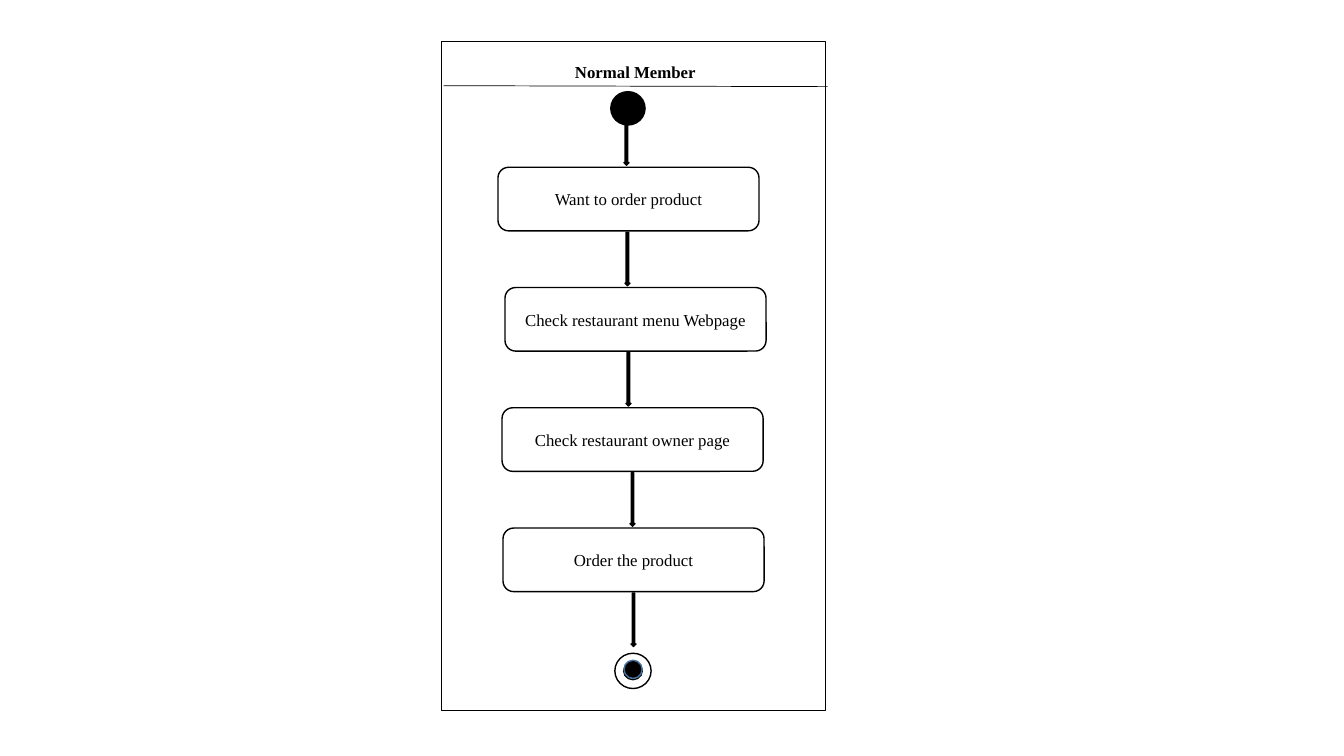
from pptx import Presentation
from pptx.dml.color import RGBColor
from pptx.enum.shapes import MSO_CONNECTOR, MSO_SHAPE
from pptx.enum.text import MSO_ANCHOR, PP_ALIGN
from pptx.oxml import parse_xml
from pptx.oxml.ns import nsdecls
from pptx.util import Pt

BLACK = RGBColor(0x00, 0x00, 0x00)
WHITE = RGBColor(0xFF, 0xFF, 0xFF)
BLUE = RGBColor(0x43, 0x73, 0x9E)

STEPS = [
    ("Want to order product", 355.7, 446.4),
    ("Check restaurant menu Webpage", 360.7, 447.1),
    ("Check restaurant owner page", 358.6, 450),
    ("Order the product", 359.3, 450.7),
]
FIRST_STEP_TOP = 119.5
STEP_PITCH = 85.9
STEP_WIDTH = 186.5
STEP_HEIGHT = 45.4
ARROW_OFFSET = 46.4
ARROW_WIDTH = 3.6
ARROW_HEIGHT = 38.2


class ActivityDiagram:
    """Draws the elements of an activity diagram on one slide."""

    font_name = "Times New Roman"
    font_size = 12

    def __init__(self, page):
        self.page = page

    def shape(self, kind, left, top, width, height, fill=WHITE, outline=BLACK):
        shape = self.page.shapes.add_shape(kind, Pt(left), Pt(top), Pt(width), Pt(height))
        shape.shadow.inherit = False
        shape.fill.solid()
        shape.fill.fore_color.rgb = fill
        shape.line.color.rgb = outline
        shape.line.width = Pt(1)
        return shape

    def label(self, box, text, bold=False, spacing=1.0):
        frame = box.text_frame
        frame.word_wrap = True
        frame.vertical_anchor = MSO_ANCHOR.MIDDLE
        para = frame.paragraphs[0]
        para.alignment = PP_ALIGN.CENTER
        para.line_spacing = spacing
        span = para.add_run()
        span.text = text
        span.font.name = self.font_name
        span.font.size = Pt(self.font_size)
        span.font.bold = bold
        span.font.color.rgb = BLACK

    def title(self, text, left, top, width, height):
        box = self.page.shapes.add_textbox(Pt(left), Pt(top), Pt(width), Pt(height))
        self.label(box, text, bold=True, spacing=0.9)

    def step(self, text, left, top):
        box = self.shape(MSO_SHAPE.ROUNDED_RECTANGLE, left, top, STEP_WIDTH, STEP_HEIGHT)
        self.label(box, text)

    def arrow(self, left, top, height=ARROW_HEIGHT):
        self.shape(MSO_SHAPE.DOWN_ARROW, left, top, ARROW_WIDTH, height, fill=BLACK)

    def divider(self, start_x, start_y, end_x, end_y):
        line = self.page.shapes.add_connector(
            MSO_CONNECTOR.STRAIGHT, Pt(start_x), Pt(start_y), Pt(end_x), Pt(end_y))
        line.line.color.rgb = BLACK
        line.line.width = Pt(0.5)
        line._element.spPr.append(parse_xml(f"<a:effectLst {nsdecls('a')}/>"))


def main():
    deck = Presentation()
    deck.slide_width = Pt(960)
    deck.slide_height = Pt(540)
    page = deck.slides.add_slide(deck.slide_layouts[6])
    diagram = ActivityDiagram(page)

    diagram.shape(MSO_SHAPE.RECTANGLE, 315.4, 29.5, 274.3, 478.1)
    diagram.title("Normal Member", 321.8, 36, 264.2, 32.4)
    diagram.divider(316.8, 61.2, 591.1, 61.9)

    diagram.arrow(445.7, 87.8, height=30.2)
    diagram.shape(MSO_SHAPE.OVAL, 436.3, 65.5, 24.5, 23.8, fill=BLACK)

    for index, (text, step_left, arrow_left) in enumerate(STEPS):
        top = FIRST_STEP_TOP + index * STEP_PITCH
        diagram.step(text, step_left, top)
        diagram.arrow(arrow_left, top + ARROW_OFFSET)

    diagram.shape(MSO_SHAPE.DONUT, 439.2, 466.6, 25.9, 25.2)
    diagram.shape(MSO_SHAPE.OVAL, 445.7, 471.6, 13, 13, fill=BLACK, outline=BLUE)

    deck.save("out.pptx")


if __name__ == "__main__":
    main()
